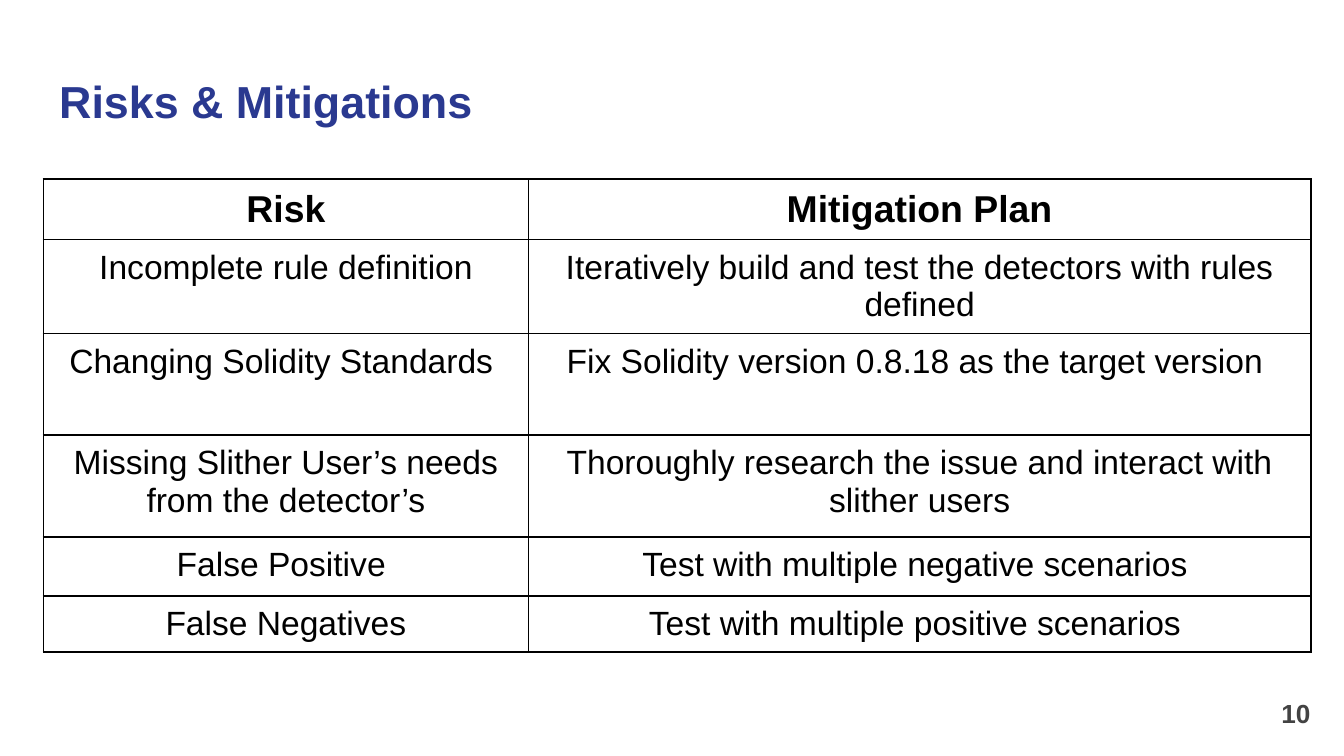
import lxml.etree
import pptx
import pptx.dml.color
import pptx.enum.text
import pptx.oxml.ns
import pptx.util

WIDTH = pptx.util.Inches(10)
HEIGHT = WIDTH * 9 // 16
BLUE = pptx.dml.color.RGBColor(0x2A, 0x39, 0x90)
GREY = pptx.dml.color.RGBColor(0x43, 0x43, 0x43)
BLACK = pptx.dml.color.RGBColor(0, 0, 0)
ALIGN = pptx.enum.text.PP_ALIGN
ANCHOR = pptx.enum.text.MSO_ANCHOR
SIDES = ("left", "top", "right", "bottom")

RISKS = [
    ("Risk", "Mitigation Plan"),
    ("Incomplete rule definition",
     "Iteratively build and test the detectors with rules defined"),
    ("Changing Solidity Standards ",
     "Fix Solidity version 0.8.18 as the target version "),
    ("Missing Slither User’s needs from the detector’s",
     "Thoroughly research the issue and interact with slither users"),
    ("False Positive ", "Test with multiple negative scenarios "),
    ("False Negatives", "Test with multiple positive scenarios "),
]
COLUMN_PERCENTS = (36.1, 58.2)
ROW_WEIGHTS = (0.41, 0.59, 0.76, 0.76, 0.44, 0.4)


def percent_box(left, top, width, height):
    return (round(WIDTH * left / 100), round(HEIGHT * top / 100),
            round(WIDTH * width / 100), round(HEIGHT * height / 100))


def apply_format(target, values):
    for name, value in values.items():
        setattr(target, name, value)


def write_text(frame, text, size, color, bold, align):
    paragraph = frame.paragraphs[0]
    paragraph.alignment = align
    run = paragraph.add_run()
    run.text = text
    apply_format(run.font, {
        "name": "Arial", "size": pptx.util.Pt(size), "bold": bold})
    run.font.color.rgb = color


def format_frame(frame, anchor):
    apply_format(frame, {
        "word_wrap": True,
        "auto_size": pptx.enum.text.MSO_AUTO_SIZE.NONE,
        "vertical_anchor": anchor})
    apply_format(frame, {
        f"margin_{side}": pptx.util.Inches(0.1) for side in SIDES})


def add_heading(slide, box):
    heading = slide.shapes.title
    apply_format(heading, dict(zip(("left", "top", "width", "height"), box)))
    format_frame(heading.text_frame, ANCHOR.TOP)
    write_text(heading.text_frame, "Risks & Mitigations", 24, BLUE, True, ALIGN.LEFT)


def add_page_number(slide, box):
    page_number = slide.shapes.add_textbox(*box)
    format_frame(page_number.text_frame, ANCHOR.MIDDLE)
    write_text(page_number.text_frame, "10", 14, GREY, True, ALIGN.RIGHT)


def add_borders(cell):
    properties = cell._tc.get_or_add_tcPr()
    qn = pptx.oxml.ns.qn
    for position, tag in enumerate(("a:lnL", "a:lnR", "a:lnT", "a:lnB")):
        line = lxml.etree.Element(qn(tag), w=str(pptx.util.Pt(1)))
        fill = lxml.etree.SubElement(line, qn("a:solidFill"))
        lxml.etree.SubElement(fill, qn("a:srgbClr"), val=str(BLACK))
        properties.insert(position, line)


def add_risk_table(slide, box):
    risks = slide.shapes.add_table(len(RISKS), len(COLUMN_PERCENTS), *box).table
    apply_format(risks, {"first_row": False, "horz_banding": False})
    for column, percent in zip(risks.columns, COLUMN_PERCENTS):
        column.width = round(box[2] * percent / sum(COLUMN_PERCENTS))
    for row, weight, entries in zip(risks.rows, ROW_WEIGHTS, RISKS):
        row.height = round(box[3] * weight / sum(ROW_WEIGHTS))
        header = entries is RISKS[0]
        for cell, entry in zip(row.cells, entries):
            apply_format(cell, {
                f"margin_{side}": pptx.util.Inches(0.07) for side in SIDES})
            write_text(cell.text_frame, entry, 20 if header else 18,
                       BLACK, header, ALIGN.CENTER)
            cell.fill.background()
            add_borders(cell)


def main():
    deck = pptx.Presentation()
    apply_format(deck, {"slide_width": WIDTH, "slide_height": HEIGHT})
    slide = deck.slides.add_slide(deck.slide_layouts.get_by_name("Title Only"))
    add_heading(slide, percent_box(3.4, 8, 93.2, 11.7))
    add_risk_table(slide, percent_box(3.23, 23.68, sum(COLUMN_PERCENTS), 59.5))
    add_page_number(slide, percent_box(92.5, 90.45, 6, 7.65))
    deck.save("out.pptx")


if __name__ == "__main__":
    main()
